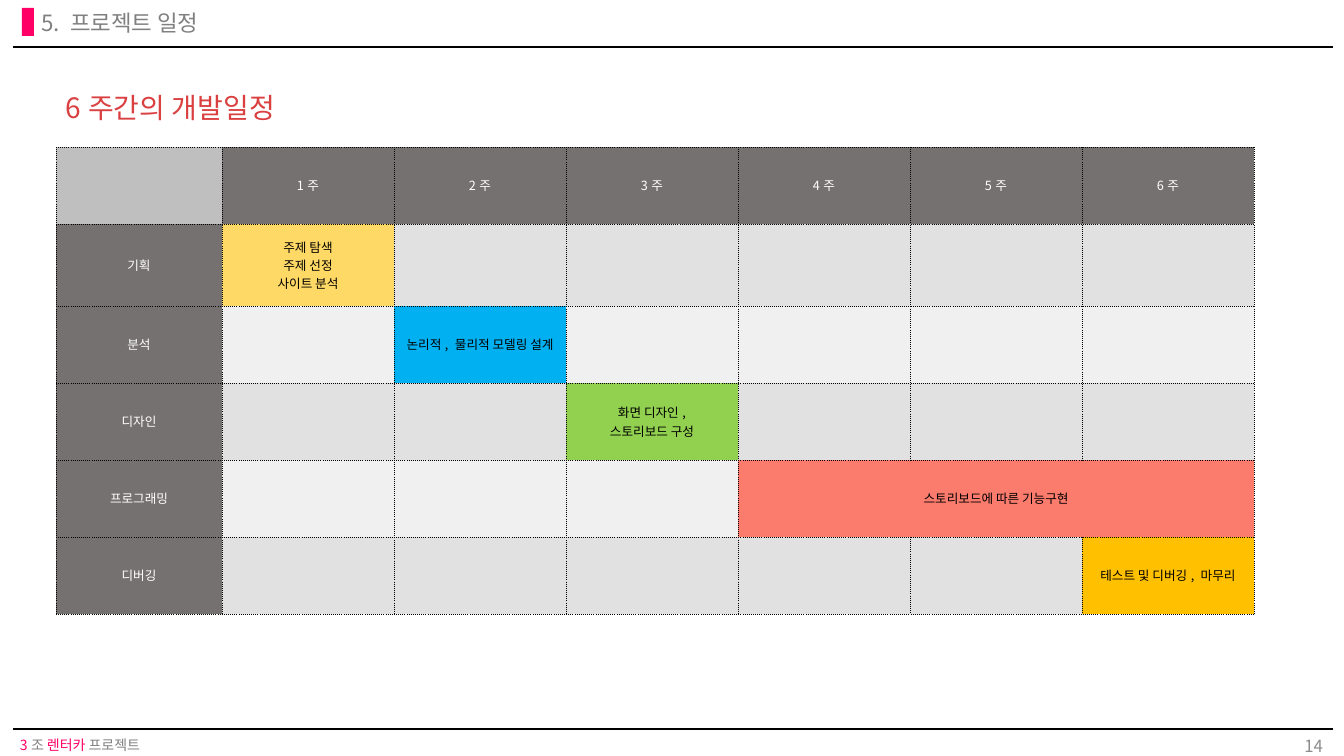
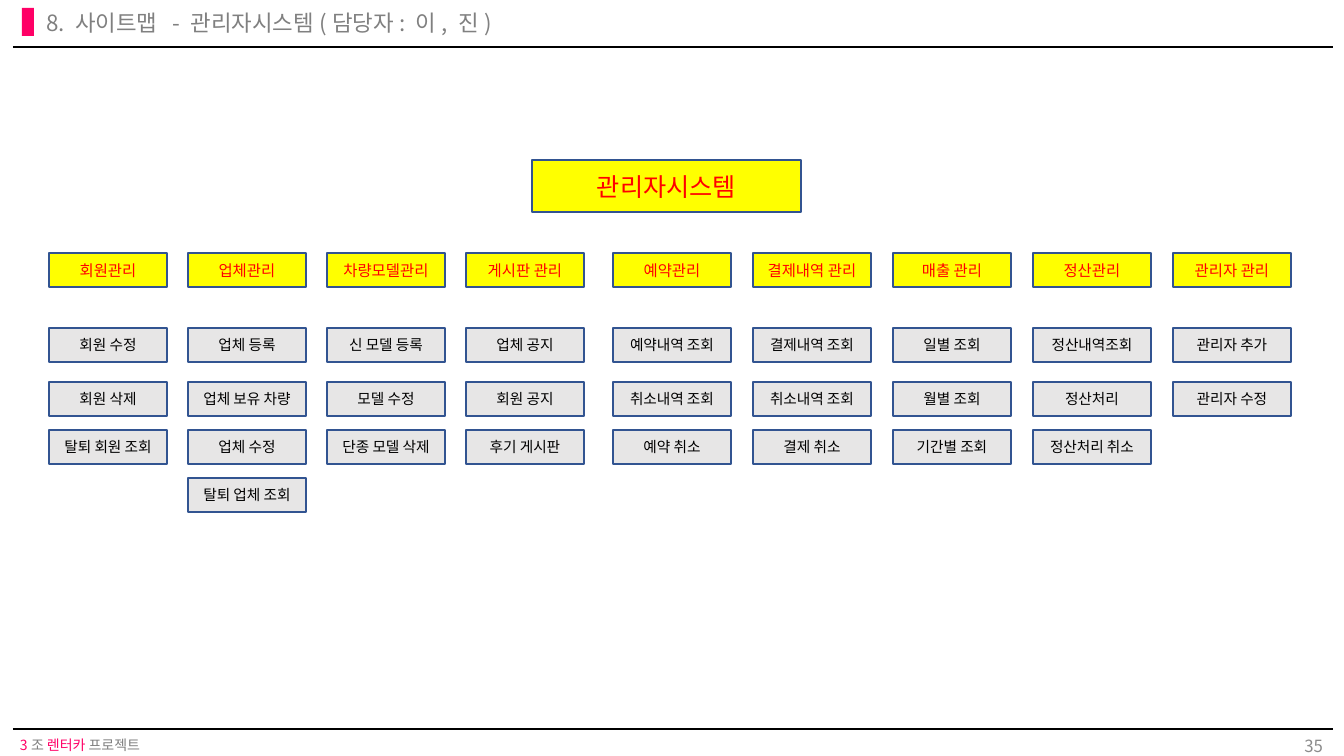
"""Build a project schedule slide and an administrator site map slide."""
from lxml.etree import SubElement
from pptx import Presentation
from pptx.dml.color import RGBColor
from pptx.enum.shapes import MSO_CONNECTOR, MSO_SHAPE
from pptx.enum.text import MSO_ANCHOR as Anchor, MSO_AUTO_SIZE as AutoSize, PP_ALIGN as Align
from pptx.oxml.ns import qn
from pptx.util import Emu, Pt

PX_PER_INCH = 100.8
FONT = "Noto Sans CJK KR"
BLACK = RGBColor(0x00, 0x00, 0x00)
WHITE = RGBColor(0xFF, 0xFF, 0xFF)
GRAY = RGBColor(0x80, 0x80, 0x80)
PAGE_GRAY = RGBColor(0x8C, 0x8C, 0x8C)
PINK = RGBColor(0xFF, 0x00, 0x66)
BRICK = RGBColor(0xDB, 0x40, 0x41)
RED = RGBColor(0xFF, 0x00, 0x00)
YELLOW = RGBColor(0xFF, 0xFF, 0x00)
BOX_GRAY = RGBColor(0xE7, 0xE6, 0xE6)
NAVY = RGBColor(0x32, 0x54, 0x91)
CORNER = RGBColor(0xBF, 0xBF, 0xBF)
HEADING = RGBColor(0x76, 0x71, 0x71)
STRIPES = RGBColor(0xE1, 0xE1, 0xE1), RGBColor(0xF0, 0xF0, 0xF0)
SAND = RGBColor(0xFF, 0xD9, 0x66)
SKY = RGBColor(0x00, 0xB0, 0xF0)
GREEN = RGBColor(0x92, 0xD0, 0x50)
CORAL = RGBColor(0xFB, 0x7B, 0x6D)
AMBER = RGBColor(0xFF, 0xC0, 0x00)

WEEKS = 6
TASKS = [
    ("기획", 1, 1, ["주제 탐색", "주제 선정", "사이트 분석"], SAND),
    ("분석", 2, 2, ["논리적, 물리적 모델링 설계"], SKY),
    ("디자인", 3, 3, ["화면 디자인,", "스토리보드 구성"], GREEN),
    ("프로그래밍", 4, 6, ["스토리보드에 따른 기능구현"], CORAL),
    ("디버깅", 6, 6, ["테스트 및 디버깅, 마무리"], AMBER),
]
MENUS = [
    ("회원관리", ["회원 수정", "회원 삭제", "탈퇴 회원 조회"]),
    ("업체관리", ["업체 등록", "업체 보유 차량", "업체 수정", "탈퇴 업체 조회"]),
    ("차량모델관리", ["신 모델 등록", "모델 수정", "단종 모델 삭제"]),
    ("게시판 관리", ["업체 공지", "회원 공지", "후기 게시판"]),
    ("예약관리", ["예약내역 조회", "취소내역 조회", "예약 취소"]),
    ("결제내역 관리", ["결제내역 조회", "취소내역 조회", "결제 취소"]),
    ("매출 관리", ["일별 조회", "월별 조회", "기간별 조회"]),
    ("정산관리", ["정산내역조회", "정산처리", "정산처리 취소"]),
    ("관리자 관리", ["관리자 추가", "관리자 수정"]),
]
MENU_LEFTS = [49 + 139 * i for i in range(4)] + [613 + 140 * i for i in range(5)]
ITEM_TOPS = [328, 382, 430, 478]


def px(*lengths):
    return [Emu(round(length * 914400 / PX_PER_INCH)) for length in lengths]


class Deck:
    def __init__(self):
        self.prs = Presentation()
        self.prs.slide_width, self.prs.slide_height = px(1344, 756)
        self.slide = None

    def new_slide(self, title, title_left, page):
        self.slide = self.prs.slides.add_slide(self.prs.slide_layouts[5])
        for y in (47, 729):
            self.rule(13, y, 1333, y)
        self.box((22, 8, 12, 28), PINK)
        self.text((13, 734, 310, 23),
                  [("3", PINK), ("조 ", GRAY), ("렌터카", PINK), (" 프로젝트", GRAY)],
                  10, insets=(7, 4), spacing=0.9)
        self.text((1268, 728, 65, 35), [(page, PAGE_GRAY)], 12, Align.RIGHT, Anchor.MIDDLE)
        self.title(title, title_left)

    def fill_text(self, frame, lines, size, align=Align.LEFT, spacing=None):
        for index, runs in enumerate(lines):
            paragraph = frame.add_paragraph() if index else frame.paragraphs[0]
            paragraph.alignment = align
            if spacing:
                paragraph.line_spacing = spacing
            for words, color in runs:
                run = paragraph.add_run()
                run.text = words
                run.font.size = Pt(size)
                run.font.color.rgb = color
                run.font.name = FONT
                SubElement(run._r.get_or_add_rPr(), qn("a:ea"), typeface=FONT)

    def title(self, words, left):
        title = self.slide.shapes.title
        title.left, title.top, title.width, title.height = px(left, 7, 526, 35)
        frame = title.text_frame
        frame.auto_size = AutoSize.NONE
        frame.vertical_anchor = Anchor.TOP
        self.fill_text(frame, [[(words, GRAY)]], 16, spacing=0.9)

    def text(self, area, runs, size, align=Align.LEFT, anchor=Anchor.TOP,
             insets=(10, 5), spacing=None):
        frame = self.slide.shapes.add_textbox(*px(*area)).text_frame
        frame.word_wrap = True
        frame.vertical_anchor = anchor
        side, edge = px(*insets)
        frame.margin_left = frame.margin_right = side
        frame.margin_top = frame.margin_bottom = edge
        self.fill_text(frame, [runs], size, align, spacing)

    def rule(self, x1, y1, x2, y2):
        line = self.slide.shapes.add_connector(MSO_CONNECTOR.STRAIGHT, *px(x1, y1, x2, y2))
        line.line.color.rgb = BLACK
        line.line.width = Pt(1.5)
        SubElement(line._element.spPr, qn("a:effectLst"))

    def box(self, area, fill, words="", size=11, color=BLACK, outline=None):
        box = self.slide.shapes.add_shape(MSO_SHAPE.RECTANGLE, *px(*area))
        box.shadow.inherit = False
        box.fill.solid()
        box.fill.fore_color.rgb = fill
        if outline:
            box.line.color.rgb = outline
            box.line.width = Pt(1)
        else:
            box.line.fill.background()
        if words:
            box.text_frame.vertical_anchor = Anchor.MIDDLE
            self.fill_text(box.text_frame, [[(words, color)]], size, Align.CENTER)

    def table(self, left, top, widths, heights):
        area = px(left, top, sum(widths), sum(heights))
        table = self.slide.shapes.add_table(len(heights), len(widths), *area).table
        table.first_row = table.horz_banding = False
        for column, width in zip(table.columns, px(*widths)):
            column.width = width
        for row, height in zip(table.rows, px(*heights)):
            row.height = height
        for cell in table.iter_cells():
            properties = cell._tc.get_or_add_tcPr()
            for side in ("lnL", "lnR", "lnT", "lnB"):
                border = SubElement(properties, qn(f"a:{side}"), w=str(Pt(0.25)))
                fill = SubElement(border, qn("a:solidFill"))
                SubElement(fill, qn("a:srgbClr"), val=str(BLACK))
                SubElement(border, qn("a:prstDash"), val="sysDot")
        return table

    def cell(self, cell, fill, lines=(), color=BLACK):
        cell.fill.solid()
        cell.fill.fore_color.rgb = fill
        cell.vertical_anchor = Anchor.MIDDLE
        self.fill_text(cell.text_frame, [[(line, color)] for line in lines], 9, Align.CENTER)


def schedule(deck):
    deck.new_slide("5. 프로젝트 일정", 31, "14")
    deck.text((56, 64, 903, 86), [("6주간의 개발일정", BRICK)], 20, anchor=Anchor.MIDDLE)
    plan = deck.table(56, 147, [166] + [172] * WEEKS, [77, 82] + [77] * 4)
    deck.cell(plan.cell(0, 0), CORNER)
    for week in range(1, WEEKS + 1):
        deck.cell(plan.cell(0, week), HEADING, [f"{week}주"], WHITE)
    for row, (phase, first, last, work, color) in enumerate(TASKS, 1):
        deck.cell(plan.cell(row, 0), HEADING, [phase], WHITE)
        for week in range(1, WEEKS + 1):
            busy = first <= week <= last
            deck.cell(plan.cell(row, week), color if busy else STRIPES[(row - 1) % 2],
                      work if week == first else ())
        if last > first:
            plan.cell(row, first).merge(plan.cell(row, last))


def site_map(deck):
    deck.new_slide("8. 사이트맵  - 관리자시스템(담당자: 이, 진)", 36, "35")
    deck.box((532, 160, 269, 52), YELLOW, "관리자시스템", 18, RED, NAVY)
    for left, (menu, items) in zip(MENU_LEFTS, MENUS):
        deck.box((left, 253, 118, 34), YELLOW, menu, 11, RED, NAVY)
        for top, item in zip(ITEM_TOPS, items):
            deck.box((left, top, 118, 34), BOX_GRAY, item, 10.5, BLACK, NAVY)


def main():
    deck = Deck()
    schedule(deck)
    site_map(deck)
    deck.prs.save("out.pptx")


if __name__ == "__main__":
    main()
